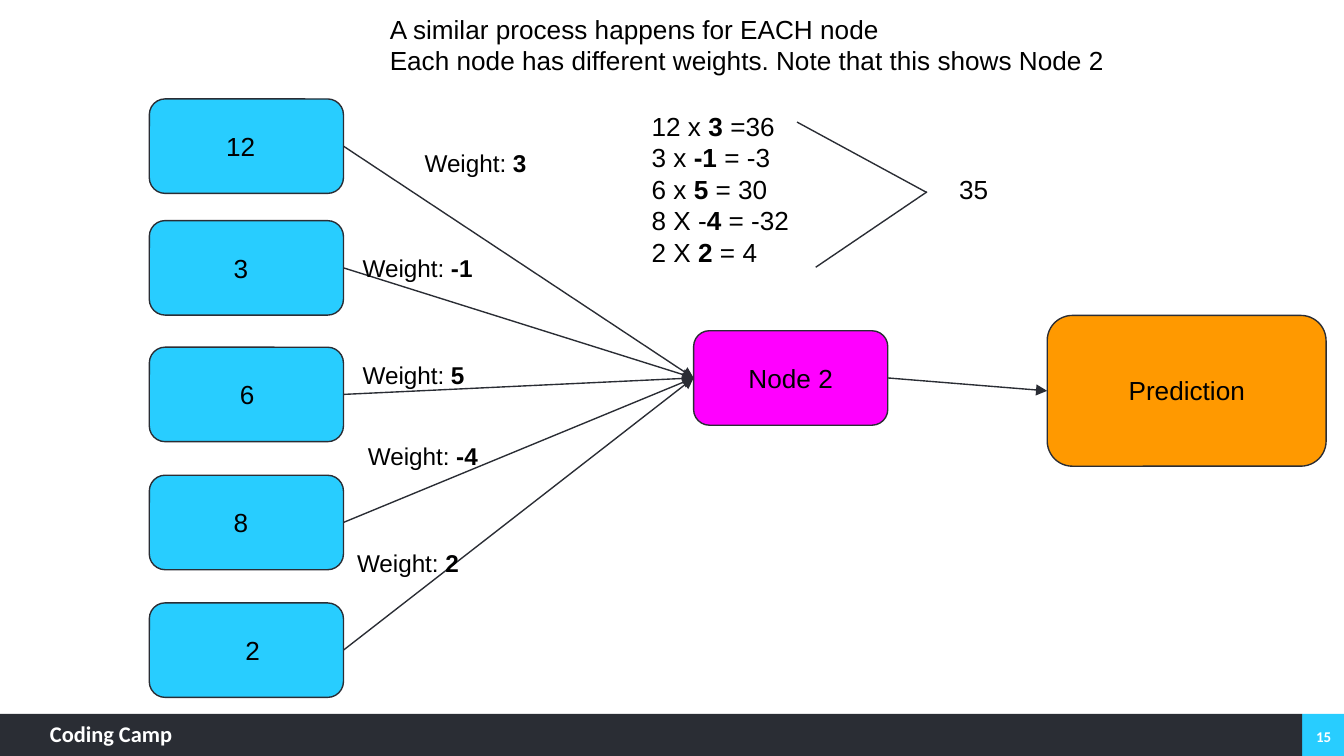
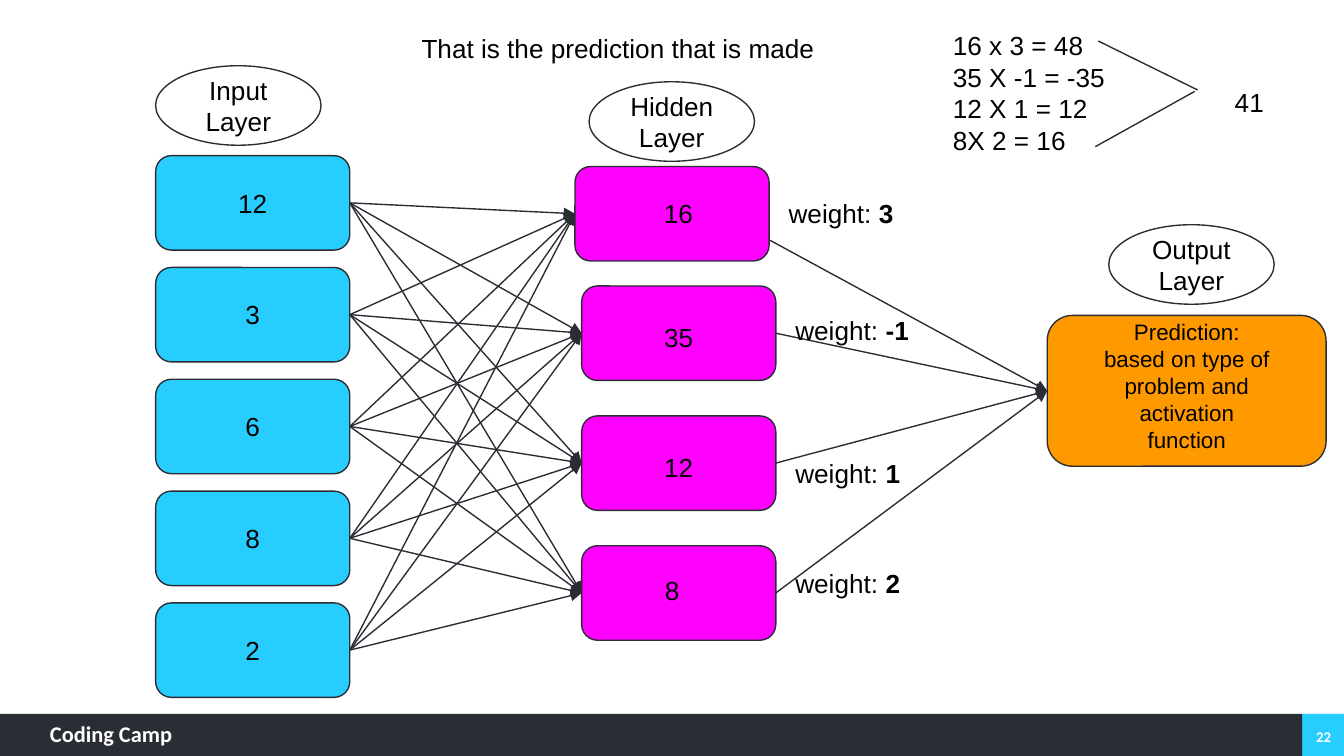
from lxml.etree import SubElement
from pptx import Presentation
from pptx.dml.color import RGBColor
from pptx.enum.shapes import MSO_CONNECTOR as Conn, MSO_SHAPE as Shape
from pptx.enum.text import MSO_ANCHOR as Anchor, MSO_AUTO_SIZE as Fit, PP_ALIGN as Align
from pptx.oxml.ns import qn
from pptx.util import Pt

CYAN, MAGENTA, ORANGE = "28CDFF", "FF00FF", "FF9900"
DARK, WHITE, BLACK = "2A2D34", "FFFFFF", "000000"
TOP, LEFT, BOTTOM, RIGHT = range(4)
NODE_W, NODE_H = 104, 50.6
LABEL_W, LABEL_H = 82, 31.6


def rgb(color):
    return RGBColor.from_string(color)


class Deck:
    """Holds the style and the slide being drawn."""

    def __init__(self, font="Arial", size=14):
        self.font, self.size = font, size
        self.prs = Presentation()
        self.prs.slide_width, self.prs.slide_height = Pt(720), Pt(405)

    def slide(self, number, heading, *box):
        self.s = self.prs.slides.add_slide(self.prs.slide_layouts[5])
        self.heading(heading, *box)
        self.shape(Shape.RECTANGLE, 697.6, 382.4, 22.4, 22.6, CYAN)
        self.shape(Shape.RECTANGLE, 0, 382.4, 697.6, 22.6, DARK)
        footer = dict(font="Calibri", color=WHITE, fit=Fit.NONE)
        self.text("**Coding Camp**", 26.8, 386, 113, 16.6, size=12, insets=(0, 0), **footer)
        self.text(f"**{number}**", 698.4, 383.6, 21.6, 21.6, size=8, insets=(5, 3),
                  align=Align.CENTER, anchor=Anchor.MIDDLE, **footer)

    def fill_text(self, tf, text, size=None, font=None, color=BLACK, align=Align.LEFT,
                  anchor=Anchor.TOP, insets=(7.2, 7.2), fit=Fit.NONE):
        """Fill a frame: one paragraph a line, with **bold** runs."""
        tf.word_wrap, tf.auto_size, tf.vertical_anchor = True, fit, anchor
        tf.margin_left = tf.margin_right = Pt(insets[0])
        tf.margin_top = tf.margin_bottom = Pt(insets[1])
        for i, line in enumerate(text.split("\n")):
            p = tf.add_paragraph() if i else tf.paragraphs[0]
            p.alignment = align
            for j, part in enumerate(line.split("**")):
                if part:
                    r = p.add_run()
                    r.text = part
                    r.font.name, r.font.size = font or self.font, Pt(size or self.size)
                    r.font.bold, r.font.color.rgb = j % 2 == 1, rgb(color)

    def heading(self, text, x, y, w, h):
        sp = self.s.shapes.title
        sp.left, sp.top, sp.width, sp.height = map(Pt, (x, y, w, h))
        self.fill_text(sp.text_frame, text)

    def text(self, text, x, y, w, h, fit=Fit.SHAPE_TO_FIT_TEXT, **style):
        sp = self.s.shapes.add_textbox(*map(Pt, (x, y, w, h)))
        self.fill_text(sp.text_frame, text, fit=fit, **style)

    def shape(self, kind, x, y, w, h, fill, line=None):
        sp = self.s.shapes.add_shape(kind, *map(Pt, (x, y, w, h)))
        sp.shadow.inherit = False
        sp.fill.solid()
        sp.fill.fore_color.rgb = rgb(fill)
        if line:
            sp.line.color.rgb, sp.line.width = rgb(line), Pt(0.75)
        else:
            sp.line.fill.background()
        return sp

    def node(self, text, x, y, fill, dx=11, dy=9.6):
        """A network node, with its label set off by dx, dy."""
        sp = self.shape(Shape.ROUNDED_RECTANGLE, x, y, NODE_W, NODE_H, fill, DARK)
        self.text(text, x + dx, y + dy, LABEL_W, LABEL_H, align=Align.CENTER)
        return sp

    def prediction(self, text, y, h, size=None):
        sp = self.shape(Shape.ROUNDED_RECTANGLE, 561, 169, 149.4, 80.8, ORANGE, DARK)
        self.text(text, 584, y, 103.6, h, size=size, align=Align.CENTER)
        return sp

    def layer(self, text, x, y):
        sp = self.shape(Shape.OVAL, x, y, 88.6, 42.6, WHITE, DARK)
        self.fill_text(sp.text_frame, text, align=Align.CENTER, anchor=Anchor.MIDDLE)

    def line(self, x1, y1, x2, y2, arrow=False):
        c = self.s.shapes.add_connector(Conn.STRAIGHT, *map(Pt, (x1, y1, x2, y2)))
        c.line.color.rgb, c.line.width = rgb(DARK), Pt(0.75)
        sp_pr = c._element.spPr
        if arrow:
            SubElement(sp_pr.find(qn("a:ln")), qn("a:tailEnd"), type="triangle")
        SubElement(sp_pr, qn("a:effectLst"))
        return c

    def arrow(self, source, target):
        c = self.line(0, 0, 1, 1, arrow=True)
        c.begin_connect(source, RIGHT)
        c.end_connect(target, LEFT)


def weighted_sum(deck):
    deck.slide(15, "A similar process happens for EACH node\n"
               "Each node has different weights. Note that this shows Node 2",
               201.6, 0, 412.6, 48.2)

    # Inputs, node and prediction
    inputs = [deck.node(value, 80, y, CYAN, dx) for value, y, dx in (
        ("12", 53, 8), ("3", 118.2, 8), ("6", 186, 11.4), ("8", 254.6, 8), ("2", 323, 14.4))]
    prediction = deck.prediction("Prediction", 193.6, LABEL_H)
    node = deck.node("Node 2", 371.6, 177.2, MAGENTA)
    for sp in inputs:
        deck.arrow(sp, node)
    deck.arrow(node, prediction)

    # Weights
    for value, x, y in (("3", 220.4, 72), ("-1", 187.2, 128.2), ("5", 187.2, 185.6),
                        ("-4", 190, 229), ("2", 184.2, 286.4)):
        deck.text(f"Weight: **{value}**", x, y, 89.2, 30.2, size=13)

    # Calculation and its result
    deck.text("12 x **3 **=36\n3 x **-1** = -3\n6 x **5** = 30\n8 X -**4** = -32\n2 X **2** = 4",
              342, 52, 149, 99.4)
    deck.line(427, 65.4, 496.6, 103.2)
    deck.line(437, 143.2, 496.6, 102.8)
    deck.text("35", 506.8, 85.8, 49.6, LABEL_H)


def whole_network(deck):
    deck.slide(22, "That is the prediction that is made", 218.6, 10, 314, LABEL_H)

    # Input, hidden and output nodes
    inputs = [deck.node(value, 83.4, 83.4 + 59.9 * i, CYAN)
              for i, value in enumerate(("12", "3", "6", "8", "2"))]
    prediction = deck.prediction(
        "Prediction: based on type of problem and activation function", 163.4, 104.4, size=12)
    hidden = [deck.node(value, x, y, MAGENTA, dx, dy) for value, x, y, dx, dy in (
        ("16", 308, 89.2, 14.4, 9.6), ("35", 311.6, 153.2, 11, 11.6),
        ("12", 311.6, 222.8, 11, 12), ("8", 311.6, 292.4, 7.4, 8))]

    # Every input feeds every hidden node, which feeds the prediction
    for target in hidden:
        for source in inputs:
            deck.arrow(source, target)
    deck.line(412.6, 128.8, 561, 209.4, arrow=True).end_connect(prediction, LEFT)
    for source in hidden[1:]:
        deck.arrow(source, prediction)

    # Layer names
    for name, x, y in (("Input", 83.4, 35.2), ("Hidden", 315.6, 43.8), ("Output", 594, 120.4)):
        deck.layer(f"{name} Layer", x, y)

    # Weights
    for value, x, y in (("3", 415.4, 98.8), ("-1", 419, 161.4),
                        ("1", 419, 237.6), ("2", 419, 296.8)):
        deck.text(f"weight: **{value}**", x, y, 91.4, LABEL_H)

    # Calculation and its result
    deck.text("16 x 3 = 48\n35 X -1 = -35\n12 X 1 = 12\n8X 2 = 16", 503.4, 8.8, 211.6, 82)
    deck.line(588.4, 22, 641.6, 48.2)
    deck.line(586.8, 78.6, 640, 49)
    deck.text("41", 654.4, 39, 36.8, LABEL_H)


def main():
    deck = Deck()
    weighted_sum(deck)
    whole_network(deck)
    deck.prs.save("out.pptx")


if __name__ == "__main__":
    main()
